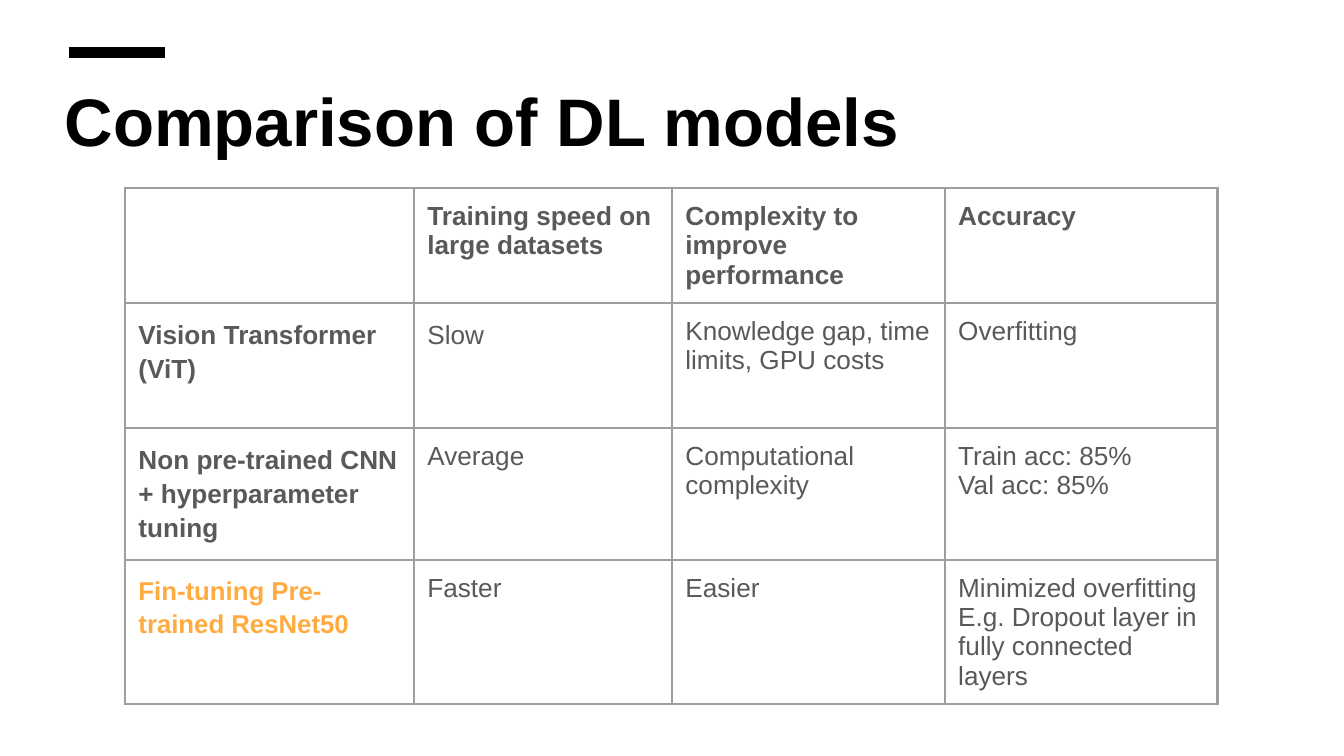
from lxml import etree
from pptx import Presentation
from pptx.dml.color import RGBColor
from pptx.enum.shapes import MSO_CONNECTOR
from pptx.enum.text import MSO_ANCHOR, MSO_AUTO_SIZE, PP_ALIGN
from pptx.oxml.ns import qn
from pptx.util import Inches, Pt

STRAIGHT = MSO_CONNECTOR.STRAIGHT
TOP = MSO_ANCHOR.TOP
LEFT = PP_ALIGN.LEFT
NO_AUTOFIT = MSO_AUTO_SIZE.NONE

FONT = "Arial"
BLACK, WHITE, GREY = "000000", "FFFFFF", "595959"
ORANGE, BORDER = "FFAB40", "9E9E9E"
TITLE_ONLY = 5
MARGIN = Inches(0.1)
LOOSE = 1.15

COLUMN_WIDTHS = [2.15, 1.92, 2.03, 2.03]
ROW_HEIGHTS = [0.84, 0.93, 0.98, 0.9]
ROWS = [
    ["", "Training speed on large datasets", "Complexity to improve performance", "Accuracy"],
    ["Vision Transformer (ViT)", "Slow", "Knowledge gap, time limits, GPU costs", "Overfitting"],
    ["Non pre-trained CNN + hyperparameter tuning", "Average", "Computational complexity",
     "Train acc: 85%\nVal acc: 85%"],
    ["Fin-tuning Pre-trained ResNet50", "Faster", "Easier",
     "Minimized overfitting\nE.g. Dropout layer in fully connected layers"],
]


def rgb(value):
    return RGBColor.from_string(value)


def add_span(para, text, size, color, bold):
    span = para.add_run()
    span.text = text
    span.font.name = FONT
    span.font.size = Pt(size)
    span.font.bold = bold
    span.font.color.rgb = rgb(color)


def set_margins(box):
    box.margin_left = box.margin_right = MARGIN
    box.margin_top = box.margin_bottom = MARGIN
    box.vertical_anchor = TOP


def add_title(page, text):
    title = page.shapes.title
    title.left, title.top = Inches(0.38), Inches(0.49)
    title.width, title.height = Inches(7.25), Inches(4.5)
    frame = title.text_frame
    frame.word_wrap = True
    frame.auto_size = NO_AUTOFIT
    set_margins(frame)
    para = frame.paragraphs[0]
    para.alignment = LEFT
    add_span(para, text, 36, BLACK, True)


def add_accent_line(page):
    y = Inches(0.39)
    line = page.shapes.add_connector(STRAIGHT, Inches(0.51), y, Inches(1.23), y)
    line.line.color.rgb = rgb(BLACK)
    line.line.width = Pt(6)
    etree.SubElement(line._element.spPr, qn("a:effectLst"))


def add_borders(cell):
    properties = cell._tc.get_or_add_tcPr()
    for side in ("a:lnL", "a:lnR", "a:lnT", "a:lnB"):
        edge = etree.SubElement(properties, qn(side), w=str(Pt(1.5)))
        fill = etree.SubElement(edge, qn("a:solidFill"))
        etree.SubElement(fill, qn("a:srgbClr"), val=BORDER)


def fill_cell(cell, text, size, color, bold, spacing, space_after):
    set_margins(cell)
    add_borders(cell)
    cell.fill.background()
    if not text:
        return
    frame = cell.text_frame
    for index, line in enumerate(text.split("\n")):
        para = frame.add_paragraph() if index else frame.paragraphs[0]
        para.line_spacing = spacing
        para.space_after = Pt(space_after)
        add_span(para, line, size, color, bold)


def add_comparison(page):
    shape = page.shapes.add_table(
        len(ROWS), len(COLUMN_WIDTHS), Inches(0.93), Inches(1.4),
        Inches(sum(COLUMN_WIDTHS)), Inches(sum(ROW_HEIGHTS)))
    table = shape.table
    table.first_row = table.horz_banding = False
    for column, width in zip(table.columns, COLUMN_WIDTHS):
        column.width = Inches(width)
    for row, height in zip(table.rows, ROW_HEIGHTS):
        row.height = Inches(height)
    for r, texts in enumerate(ROWS):
        for c, text in enumerate(texts):
            is_model = r > 0 and c == 0
            is_best = is_model and r == len(ROWS) - 1
            fill_cell(
                table.cell(r, c), text,
                size=13.8 if is_best else 14,
                color=ORANGE if is_best else GREY,
                bold=r == 0 or is_model,
                spacing=LOOSE if is_model or text == "Slow" else 1.0,
                space_after=16 if is_model else 0)


def main():
    deck = Presentation()
    deck.slide_width = Inches(10)
    deck.slide_height = deck.slide_width * 9 // 16
    page = deck.slides.add_slide(deck.slide_layouts[TITLE_ONLY])
    page.background.fill.solid()
    page.background.fill.fore_color.rgb = rgb(WHITE)
    add_accent_line(page)
    add_title(page, "Comparison of DL models")
    add_comparison(page)
    deck.save("out.pptx")


if __name__ == "__main__":
    main()
